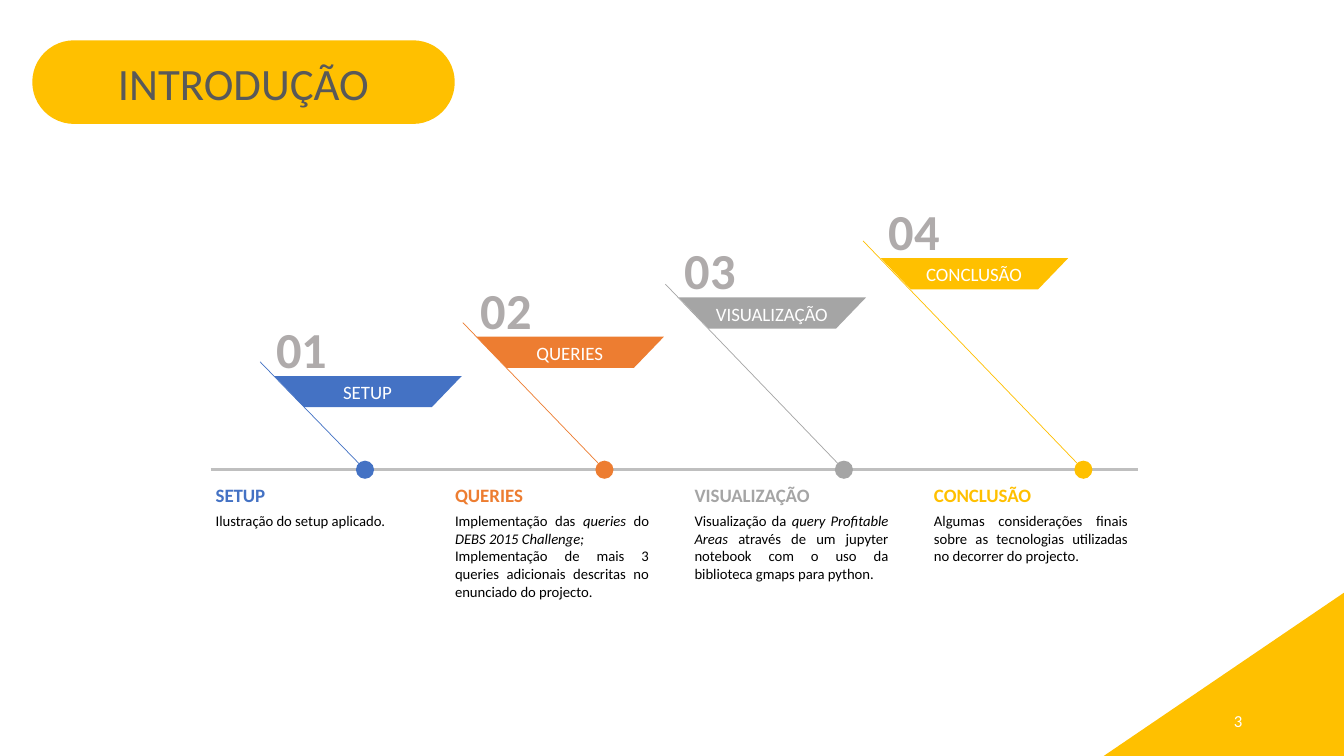
from lxml import etree
from pptx import Presentation
from pptx.dml.color import RGBColor
from pptx.enum.shapes import MSO_CONNECTOR, MSO_SHAPE
from pptx.enum.text import MSO_ANCHOR, MSO_AUTO_SIZE, PP_ALIGN
from pptx.oxml.ns import qn
from pptx.util import Inches, Pt

LEFT, CENTER, RIGHT, JUSTIFY = PP_ALIGN.LEFT, PP_ALIGN.CENTER, PP_ALIGN.RIGHT, PP_ALIGN.JUSTIFY
TOP, MIDDLE = MSO_ANCHOR.TOP, MSO_ANCHOR.MIDDLE
NO_AUTOFIT = MSO_AUTO_SIZE.NONE
STRAIGHT = MSO_CONNECTOR.STRAIGHT
RECTANGLE, PILL = MSO_SHAPE.RECTANGLE, MSO_SHAPE.ROUNDED_RECTANGLE
OVAL, TRAPEZOID = MSO_SHAPE.OVAL, MSO_SHAPE.TRAPEZOID

FONT = "Calibri"
TITLE_ONLY = 5
YELLOW, WHITE, BLACK = "FFC000", "FFFFFF", "000000"
TITLE_GRAY, NUMBER_GRAY, AXIS_GRAY = "595959", "AFABAB", "BFBFBF"

# Label, colour, top end of the slanted line, paragraphs of (text, italic) runs
STAGES = [
    ("SETUP", "4472C4", (2.58, 3.59),
     [[("Ilustração do setup aplicado.", False)]]),
    ("QUERIES", "ED7D31", (4.59, 3.2),
     [[("Implementação das ", False), ("queries", True), (" do ", False),
       ("DEBS 2015 Challenge;", True)],
      [("Implementação de mais 3 queries adicionais descritas no enunciado do projecto.",
        False)]]),
    ("VISUALIZAÇÃO", "A5A5A5", (6.6, 2.82),
     [[("Visualização da ", False), ("query Profitable Areas ", True),
       ("através de um jupyter notebook com o uso da biblioteca gmaps para python.", False)]]),
    ("CONCLUSÃO", YELLOW, (8.56, 2.39),
     [[("Algumas considerações finais sobre as tecnologias utilizadas no decorrer do projecto.",
        False)]]),
]

COLUMN_STEP = 2.375      # between dots and between descriptions
FLAG_STEP = 2.005        # between flags
NUMBER_STEP = 2.025      # between numbers
RISE = 0.39              # each stage sits this much higher
DOT_SIZE = 0.18


def color(hex_string):
    return RGBColor.from_string(hex_string)


def inches(box):
    return [Inches(value) for value in box]


def write(shape, text, size, ink, bold=False, align=LEFT, anchor=TOP, wrap=True):
    """Fill a shape with a string, or with paragraphs of (text, italic) runs."""
    frame = shape.text_frame
    frame.word_wrap = wrap
    frame.auto_size = NO_AUTOFIT
    frame.vertical_anchor = anchor
    paragraphs = [[(text, False)]] if isinstance(text, str) else text
    for index, runs in enumerate(paragraphs):
        paragraph = frame.add_paragraph() if index else frame.paragraphs[0]
        paragraph.alignment = align
        for run_text, italic in runs:
            run = paragraph.add_run()
            run.text = run_text
            font = run.font
            font.name, font.size = FONT, Pt(size)
            font.bold, font.italic = bold, italic
            font.color.rgb = color(ink)


def add_text(slide, box, text, **style):
    write(slide.shapes.add_textbox(*inches(box)), text, **style)


def add_solid(slide, kind, box, fill, rotation=0):
    shape = slide.shapes.add_shape(kind, *inches(box))
    shape.shadow.inherit = False
    shape.fill.solid()
    shape.fill.fore_color.rgb = color(fill)
    shape.line.fill.background()
    shape.rotation = rotation
    return shape


def add_line(slide, start, end, ink, width):
    line = slide.shapes.add_connector(STRAIGHT, *inches(start + end))
    line.line.color.rgb = color(ink)
    line.line.width = Pt(width)
    etree.SubElement(line.element.spPr, qn("a:effectLst"))


def add_corner(slide, box):
    """Slanted corner with the page number."""
    left, top, width, height = box
    add_solid(slide, RECTANGLE, box, YELLOW, rotation=55.8)
    add_text(slide, (left - 2.42, top + 1.68, 3, 0.4), "3", size=12, ink=WHITE,
             align=RIGHT, anchor=MIDDLE)


def add_title(slide, box):
    """Title on a yellow pill."""
    pill = add_solid(slide, PILL, box, YELLOW)
    pill.adjustments[0] = 0.5
    title = slide.shapes.title
    title.left, title.top, title.width, title.height = inches(box)
    write(title, "INTRODUÇÃO", size=32, ink=TITLE_GRAY, align=CENTER, anchor=MIDDLE)
    pill.element.addnext(title.element)


def add_stage(slide, box, index, stage):
    """Number, flag, slanted line, dot and description of one stage."""
    label, accent, line_top, description = stage
    left, axis = box[0], box[1] + box[3]

    # Slanted line down to the dot on the axis
    dot_x = left + 1.53 + index * COLUMN_STEP
    add_line(slide, line_top, (dot_x, axis), accent, 0.5)
    radius = DOT_SIZE / 2
    add_solid(slide, OVAL, (dot_x - radius, axis - radius, DOT_SIZE, DOT_SIZE), accent)

    # Number above the flag
    flag_x, flag_y = left + 0.63 + index * FLAG_STEP, axis - 0.93 - index * RISE
    add_text(slide, (left + 0.55 + index * NUMBER_STEP, flag_y - 0.63, 0.71, 0.71),
             f"{index + 1:02}", size=36, ink=NUMBER_GRAY, bold=True, align=CENTER,
             anchor=MIDDLE, wrap=False)
    flag = add_solid(slide, TRAPEZOID, (flag_x, flag_y, 1.86, 0.31), accent, rotation=180)
    flag.adjustments[0] = 0.964
    add_text(slide, (flag_x + 0.25, flag_y, 1.35, 0.33), label, size=13.5, ink=WHITE,
             align=CENTER)

    # Heading and description below the axis
    column_x = left - 0.05 + index * COLUMN_STEP
    add_text(slide, (column_x, axis + 0.09, 2.12, 0.33), label, size=13.5, ink=accent, bold=True)
    add_text(slide, (column_x, axis + 0.37, 2.12, 0.98), description, size=10.5, ink=BLACK,
             align=JUSTIFY)


def add_timeline(slide, box):
    """Stages that rise from left to right, standing on the bottom of the box."""
    left, top, width, height = box
    axis = top + height
    add_line(slide, (left, axis), (left + width, axis), AXIS_GRAY, 2.25)
    for index, stage in enumerate(STAGES):
        add_stage(slide, box, index, stage)


def main():
    presentation = Presentation()
    presentation.slide_width, presentation.slide_height = Inches(13.33), Inches(7.5)
    slide = presentation.slides.add_slide(presentation.slide_layouts[TITLE_ONLY])
    add_corner(slide, (11.84, 5.27, 1.63, 4.11))
    add_title(slide, (0.32, 0.4, 4.19, 0.83))
    add_timeline(slide, (2.09, 1.93, 9.2, 2.73))
    presentation.save("out.pptx")


if __name__ == "__main__":
    main()
